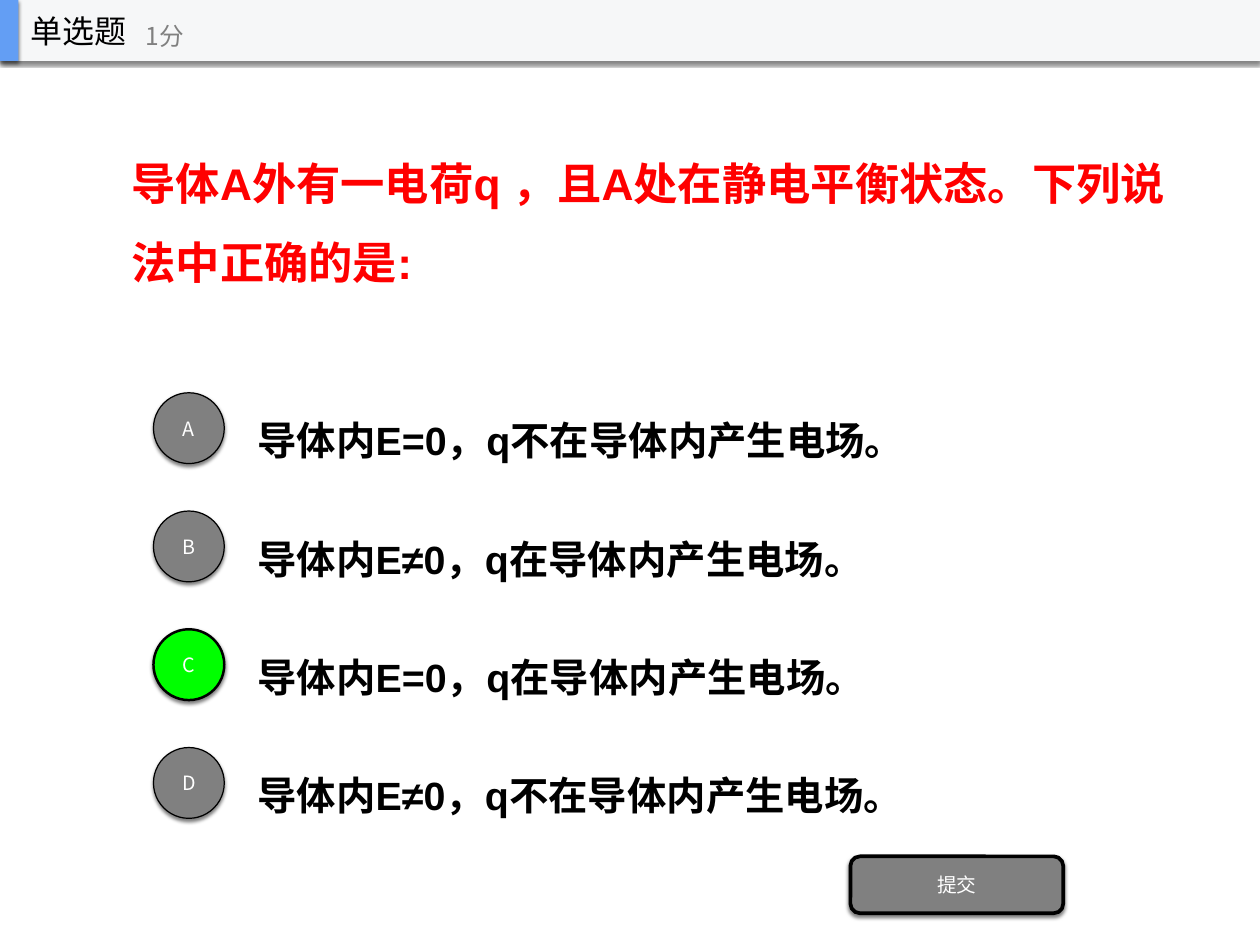
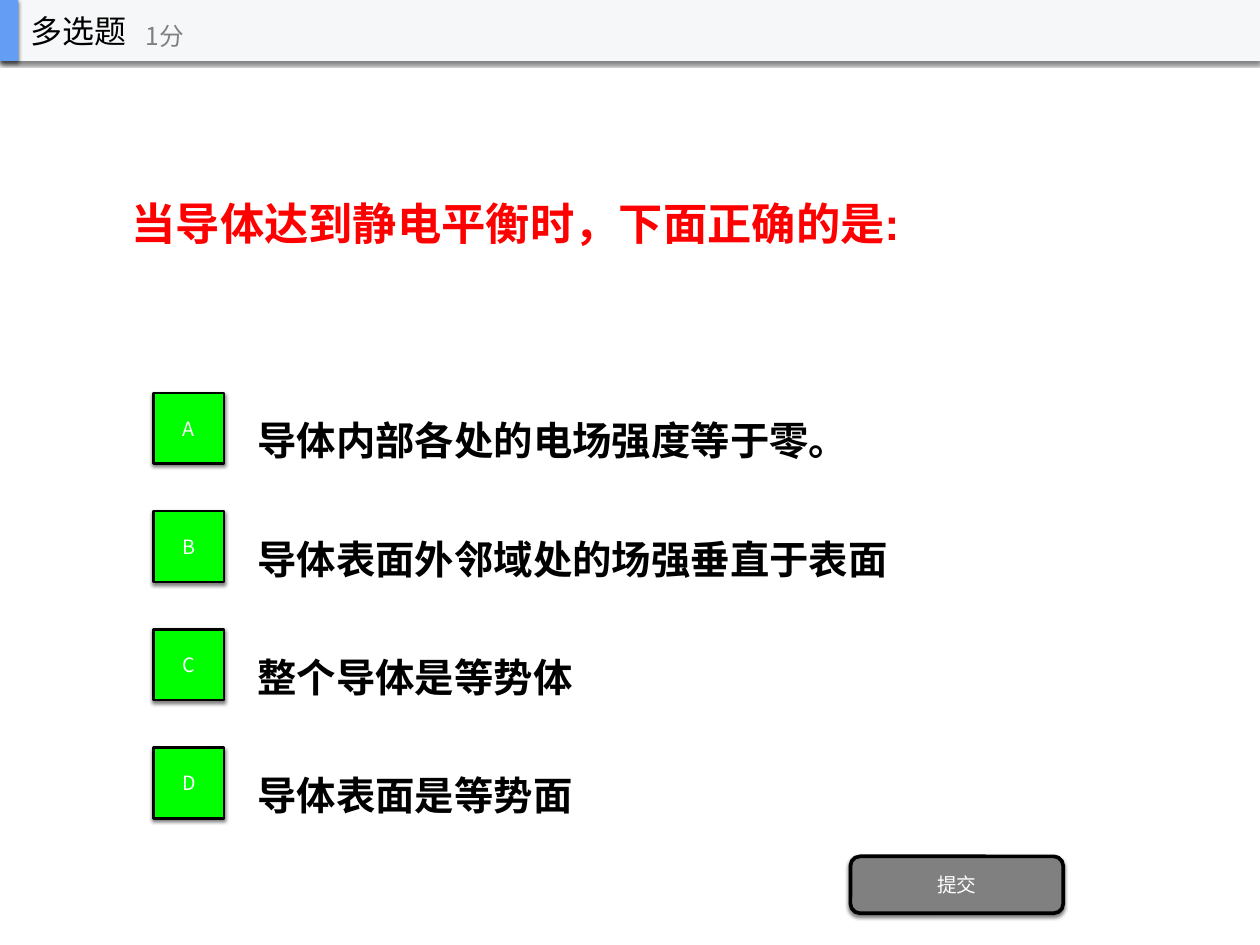
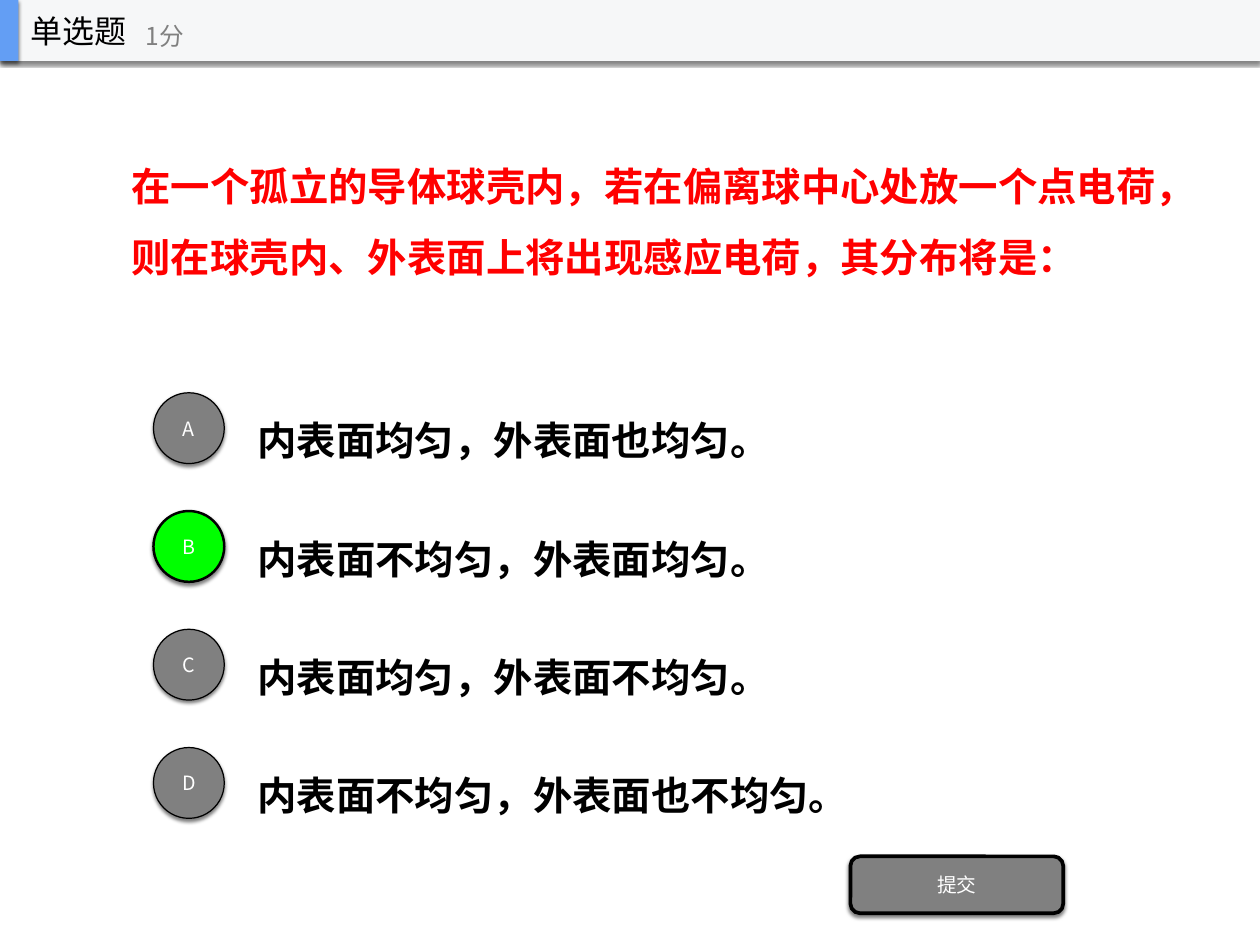
from lxml import etree
from pptx import Presentation
from pptx import util as u
from pptx.dml.color import RGBColor
from pptx.enum import shapes, text
from pptx.oxml.ns import qn

# Content: question width in cm, size in points, options and right answers
QUIZ = [
    dict(kind="单选题", width=30.05, size=36, answers="C",
         question="导体A外有一电荷q ，且A处在静电平衡状态。下列说法中正确的是:",
         options=["导体内E=0，q不在导体内产生电场。",
                  "导体内E≠0，q在导体内产生电场。",
                  "导体内E=0，q在导体内产生电场。",
                  "导体内E≠0，q不在导体内产生电场。"]),
    dict(kind="多选题", width=28.91, size=36, answers="ABCD",
         question="当导体达到静电平衡时，下面正确的是:",
         options=["导体内部各处的电场强度等于零。",
                  "导体表面外邻域处的场强垂直于表面",
                  "整个导体是等势体",
                  "导体表面是等势面"]),
    dict(kind="单选题", width=31.65, size=32, answers="B",
         question="在一个孤立的导体球壳内，若在偏离球中心处放一个点电荷，"
                  "则在球壳内、外表面上将出现感应电荷，其分布将是：",
         options=["内表面均匀，外表面也均匀。",
                  "内表面不均匀，外表面均匀。",
                  "内表面均匀，外表面不均匀。",
                  "内表面不均匀，外表面也不均匀。"]),
]
POINTS = "1分"
SUBMIT = "提交"

# Shared look
LATIN, CHINESE = "Arial", "Noto Sans CJK SC"
BLACK, WHITE, GREY = "000000", "FFFFFF", "808080"
RED, GREEN, BAND, ACCENT = "FF0000", "00FF00", "F6F7F8", "639EF4"
PAGE_WIDTH, PAGE_HEIGHT, HEADER_HEIGHT = 36.12, 27.09, 1.75
OPTION_TOP, OPTION_STEP = 11.01, 3.39
BADGE_DROP, BADGE_SIZE = 0.25, 2.03
KIND = shapes.MSO_SHAPE


def colour(value):
    return RGBColor.from_string(value)


def write(shape, words, size, ink, font=CHINESE, bold=None, centred=False,
          spacing=None, wrap=True):
    frame = shape.text_frame
    frame.text = words
    frame.word_wrap = wrap
    frame.vertical_anchor = text.MSO_ANCHOR.MIDDLE
    frame.margin_left = frame.margin_right = u.Cm(0.16)
    frame.margin_top = frame.margin_bottom = u.Cm(0.16)
    para = frame.paragraphs[0]
    para.alignment = text.PP_ALIGN.CENTER if centred else text.PP_ALIGN.LEFT
    para.line_spacing = spacing
    span = para.runs[0]
    span.font.size = u.Pt(size)
    span.font.bold = bold
    span.font.name = font
    span.font.color.rgb = colour(ink)
    east_asian = etree.SubElement(span._r.get_or_add_rPr(), qn("a:ea"))
    east_asian.set("typeface", CHINESE)


def add_text(parent, place, words, size, ink, **style):
    box = parent.add_textbox(*map(u.Cm, place))
    write(box, words, size, ink, **style)


def add_shadow(shape):
    shape.shadow.inherit = False
    effects = shape._element.spPr.find(qn("a:effectLst"))
    shadow = etree.SubElement(
        effects, qn("a:outerShdw"), blurRad=str(u.Pt(3)), dist=str(u.Pt(2)),
        dir="5400000", algn="ctr", rotWithShape="0")
    tint = etree.SubElement(shadow, qn("a:srgbClr"), val=BLACK)
    etree.SubElement(tint, qn("a:alpha"), val="50000")


def add_block(parent, kind, place, fill, line=None):
    block = parent.add_shape(kind, *map(u.Cm, place))
    block.fill.solid()
    block.fill.fore_color.rgb = colour(fill)
    if line:
        block.line.color.rgb = colour(BLACK)
        block.line.width = u.Pt(line)
    else:
        block.line.fill.background()
    add_shadow(block)
    return block


def add_header(page, kind):
    header = page.shapes.add_group_shape().shapes
    for width, fill in ((PAGE_WIDTH, BAND), (0.53, ACCENT)):
        add_block(header, KIND.RECTANGLE, (0, 0, width, HEADER_HEIGHT), fill)
    add_text(header, (0.71, 0, 5.28, HEADER_HEIGHT), kind, 26, BLACK, wrap=False)
    add_text(header, (4.01, 0.3, 6.35, 1.42), POINTS, 20, GREY, wrap=False)


def add_quiz(page, quiz):
    # Question and options
    body = dict(font=LATIN, bold=True, spacing=1.5)
    add_text(page.shapes, (3.61, 1.76, quiz["width"], 8.47),
             quiz["question"], quiz["size"], RED, **body)
    tops = [OPTION_TOP + OPTION_STEP * row for row in range(len(quiz["options"]))]
    for top, option in zip(tops, quiz["options"]):
        add_text(page.shapes, (7.22, top, 25.29, 2.54), option, 32, BLACK, **body)

    # Answer badges: round for one answer, square for several
    outline = KIND.OVAL if len(quiz["answers"]) == 1 else KIND.RECTANGLE
    for top, letter in zip(tops, "ABCD"):
        fill, line = (GREEN, 2) if letter in quiz["answers"] else (GREY, 1)
        badge = add_block(page.shapes, outline,
                          (4.4, top + BADGE_DROP, BADGE_SIZE, BADGE_SIZE), fill, line)
        write(badge, letter, 16, WHITE, centred=True)

    # Submit button
    button = add_block(page.shapes, KIND.ROUNDED_RECTANGLE,
                       (24.38, 24.55, 6.1, 1.63), GREY, 3)
    write(button, SUBMIT, 16, WHITE, centred=True)


def main():
    deck = Presentation()
    deck.slide_width, deck.slide_height = u.Cm(PAGE_WIDTH), u.Cm(PAGE_HEIGHT)
    for quiz in QUIZ:
        page = deck.slides.add_slide(deck.slide_layouts[6])
        add_quiz(page, quiz)
        add_header(page, quiz["kind"])
    deck.save("out.pptx")


if __name__ == "__main__":
    main()
